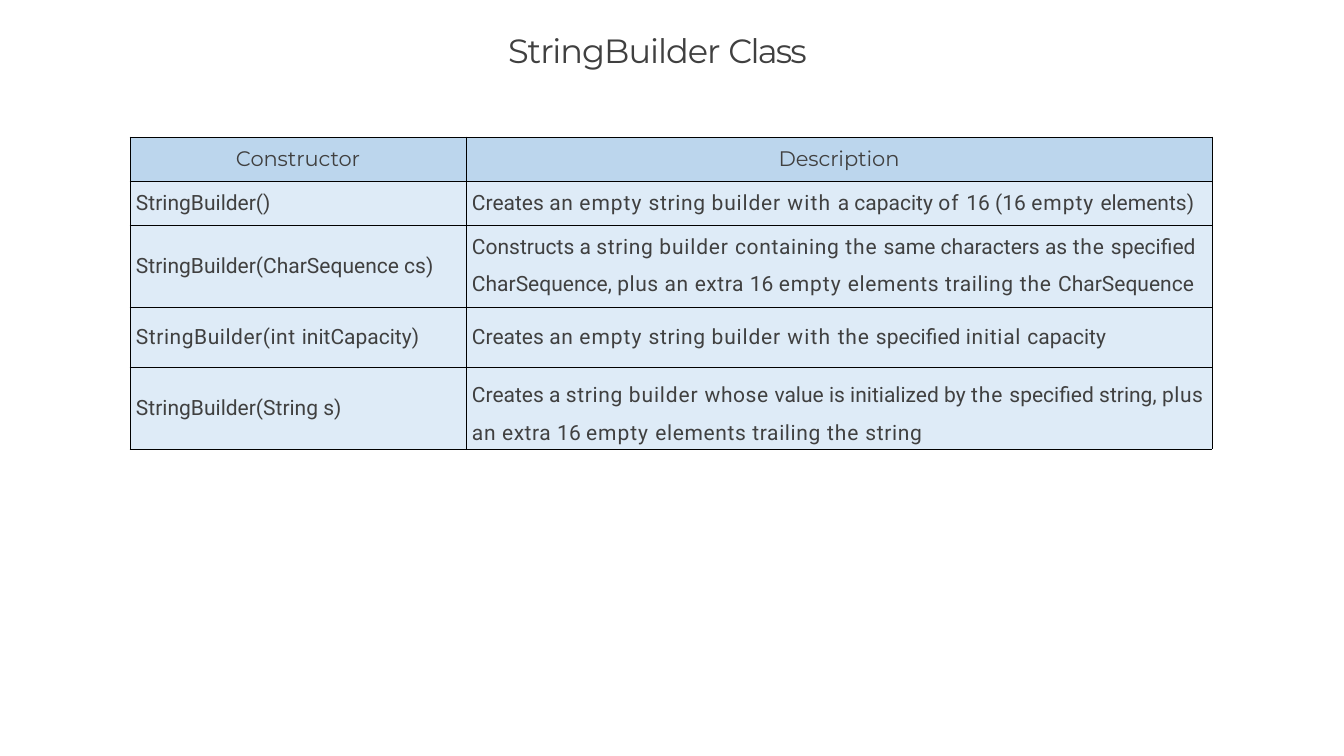
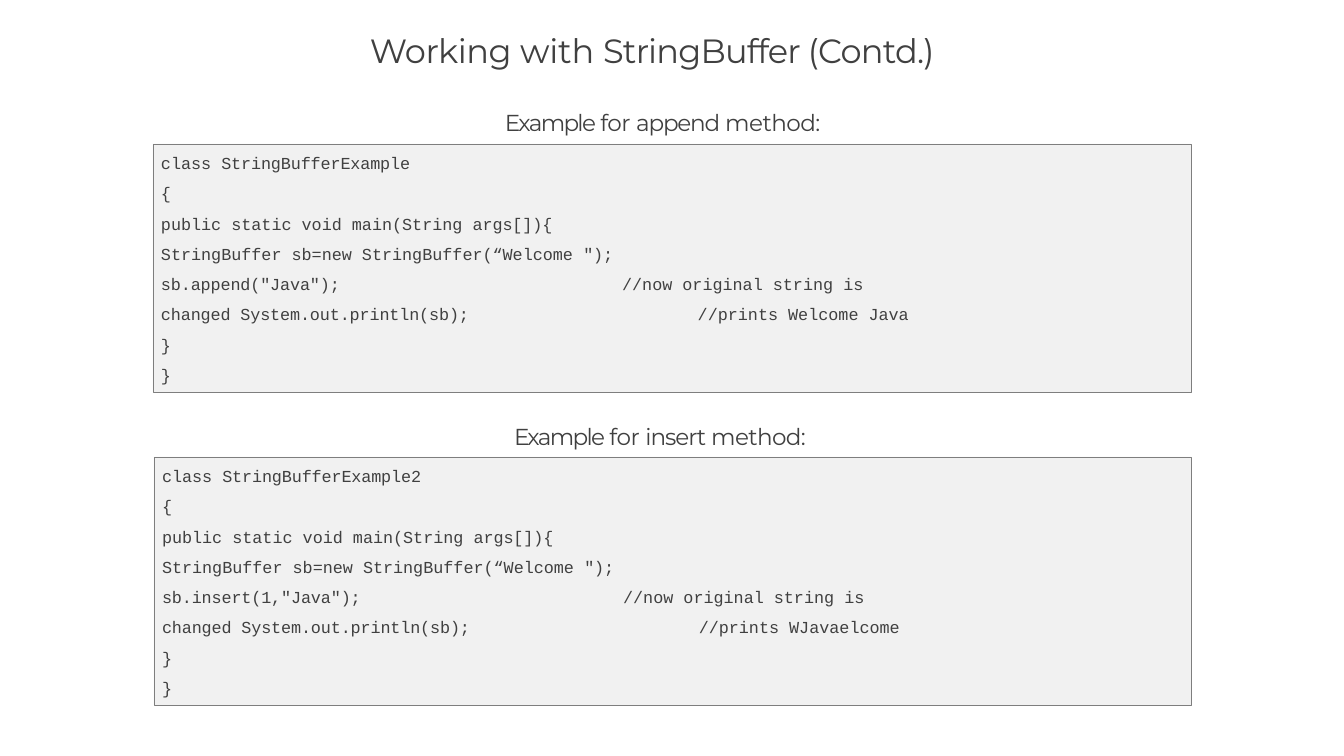
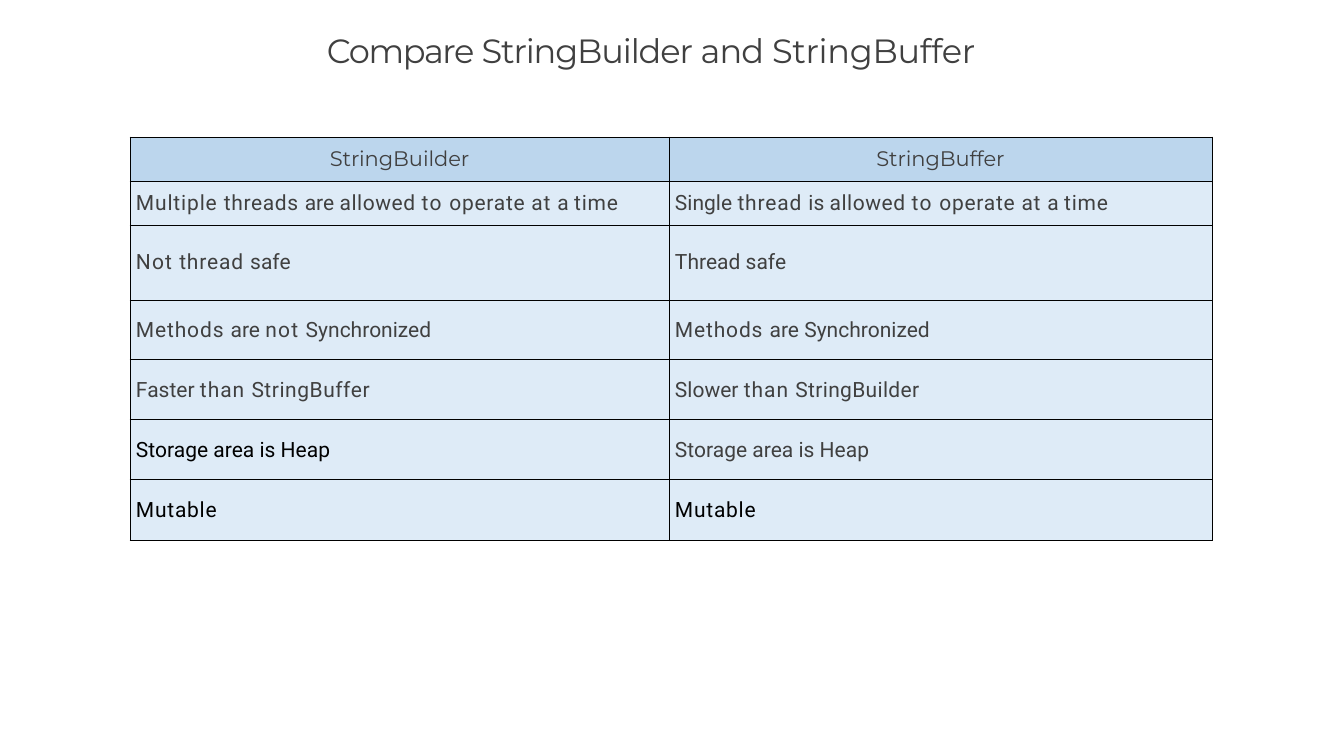
from itertools import groupby

from lxml import etree
from pptx import Presentation
from pptx import util as u
from pptx.dml.color import RGBColor
from pptx.enum import shapes, text
from pptx.oxml import ns

PX = 914400 / 75.6
WIDTH, HEIGHT = 1344, 756
INK = RGBColor(0x40, 0x40, 0x40)
BLACK = RGBColor(0, 0, 0)
HEADER_FILL = RGBColor(0xBC, 0xD6, 0xED)
ROW_FILL = RGBColor(0xDE, 0xEB, 0xF7)
CODE_FILL = RGBColor(0xF1, 0xF1, 0xF1)
CODE_LINE = RGBColor(0x7E, 0x7E, 0x7E)
HEADING, BODY, CODE = "Montserrat", "Roboto", "Courier New"
TABLE_LEFT, TABLE_TOP = 130, 137

WORD_SPACING = {
    "an": 0.6, "empty": 0.9, "string": 0.6, "builder": 0.8, "with": 1.1,
    "of": 1.1, "the": 0.8, "containing": 0.6, "plus": 0.5, "extra": 0.5,
    "elements": 0.6, "trailing": 0.6, "whose": 0.5, "initial": 0.7,
    "Multiple": 0.8, "threads": 0.6, "thread": 0.8, "allowed": 0.5,
    "to": 1.2, "operate": 0.7, "at": 0.7, "time": 0.8, "Not": 1,
    "not": 1.1, "Methods": 0.8, "than": 0.9, "Mutable": 0.7,
    "StringBuilder(int": 0.5, "StringBuffer": 0.5, "StringBuilder": 0.3,
}

BUILDER = {
    "title": [("StringBuilder ", -1), ("Class", -1.8)],
    "title_place": (507, 29, 330, 42),
    "title_indent": 1,
    "columns": (336, 746),
    "heights": (44, 44, 82, 60, 82),
    "rows": [
        ("Constructor", "Description"),
        ("StringBuilder()",
         "Creates an empty string builder with a capacity of 16 (16 empty elements)"),
        ("StringBuilder(CharSequence cs)",
         "Constructs a string builder containing the same characters as the specified\n"
         "CharSequence, plus an extra 16 empty elements trailing the CharSequence"),
        ("StringBuilder(int initCapacity)",
         "Creates an empty string builder with the specified initial capacity"),
        ("StringBuilder(String s)",
         "Creates a string builder whose value is initialized by the specified string, "
         "plus an extra 16 empty elements trailing the string"),
    ],
    "open_cells": {(4, 1)},
    "black_cells": set(),
}

COMPARISON = {
    "title": [("Compare ", -1.4), ("StringBuilder ", -1.1), ("and ", -0.9),
              ("StringBuffer", -0.3)],
    "title_place": (253, 29, 838, 49),
    "title_indent": 74,
    "columns": (539, 543),
    "heights": (44, 44, 75, 60, 60, 60, 61),
    "rows": [
        ("StringBuilder", "StringBuffer"),
        ("Multiple threads are allowed to operate at a time",
         "Single thread is allowed to operate at a time"),
        ("Not thread safe", "Thread safe"),
        ("Methods are not Synchronized", "Methods are Synchronized"),
        ("Faster than StringBuffer", "Slower than StringBuilder"),
        ("Storage area is Heap", "Storage area is Heap"),
        ("Mutable", "Mutable"),
    ],
    "open_cells": set(),
    "black_cells": {(5, 0), (6, 0), (6, 1)},
}

EXAMPLES_TITLE = [("Working ", -0.5), ("with ", -0.2), ("StringBuffer (Contd.)", -0.8)]
EXAMPLES = [
    {"heading": [("Example ", -1.6), ("for ", -0.5), ("append ", -1.1), ("method:", -0.5)],
     "heading_place": (504, 107, 336, 29), "code_place": (153, 144, 1038, 248),
     "class": "StringBufferExample", "call": 'sb.append("Java");', "result": "Welcome Java"},
    {"heading": [("Example ", -1.6), ("for ", -0.4), ("insert ", -1), ("method:", -0.6)],
     "heading_place": (513, 421, 317, 29), "code_place": (154, 457, 1037, 248),
     "class": "StringBufferExample2", "call": 'sb.insert(1,"Java");', "result": "WJavaelcome"},
]


def code_lines(example):
    return [
        [("class ", 0), (example["class"], -0.1)],
        [("{", -0.5)],
        [("public static void main(String ", 0), ("args[]){", -0.1)],
        [("StringBuffer sb=new StringBuffer(“Welcome ", 0), ('");', -0.2)],
        [(example["call"], -0.1), ("\t//now original string is ", 0),
         ("changed System.out.println(sb);", -0.1),
         ("\t\t//prints " + example["result"], 0)],
        [("}", -0.5)],
        [("}", -0.5)],
    ]


def px(*lengths):
    return [u.Emu(round(length * PX)) for length in lengths]


def word_spans(line):
    words = line.split(" ")
    pieces = [word + " " for word in words[:-1]] + words[-1:]
    groups = groupby(pieces, lambda piece: WORD_SPACING.get(piece.strip(), 0))
    return [("".join(group), spacing) for spacing, group in groups]


def write(para, spans, name, size, color=INK, align=text.PP_ALIGN.LEFT):
    para.alignment = align
    para.font.name, para.font.size = name, u.Pt(size)
    para.font.color.rgb = color
    for words, spacing in spans:
        span = para.add_run()
        span.text = words
        span._r.get_or_add_rPr().set("spc", str(round(spacing * 100)))


def set_margins(frame, left, top=0, right=0):
    frame.margin_left, frame.margin_top, frame.margin_right = px(left, top, right)
    frame.margin_bottom = 0


def prepare(frame, left, top=1, right=0):
    set_margins(frame, left, top, right)
    frame.word_wrap = True
    frame.vertical_anchor = text.MSO_ANCHOR.TOP


def add_page(deck, spans, place, indent):
    page = deck.slides.add_slide(deck.slide_layouts[5])
    title = page.shapes.title
    title.left, title.top, title.width, title.height = px(*place)
    prepare(title.text_frame, indent)
    title.text_frame.auto_size = text.MSO_AUTO_SIZE.SHAPE_TO_FIT_TEXT
    write(title.text_frame.paragraphs[0], spans, HEADING, 32)
    return page


def add_borders(cell):
    properties = cell._tc.get_or_add_tcPr()
    for index, side in enumerate(("lnL", "lnR", "lnT", "lnB")):
        line = etree.Element(ns.qn("a:" + side), w=str(u.Pt(1)))
        fill = etree.SubElement(line, ns.qn("a:solidFill"))
        etree.SubElement(fill, ns.qn("a:srgbClr"), val=str(BLACK))
        properties.insert(index, line)


def fill_cell(cell, content, header, color, is_open):
    cell.fill.solid()
    cell.fill.fore_color.rgb = HEADER_FILL if header else ROW_FILL
    cell.vertical_anchor = text.MSO_ANCHOR.MIDDLE
    set_margins(cell, 0 if header else 6)
    add_borders(cell)
    if header:
        write(cell.text_frame.paragraphs[0], [(content, -0.1)], HEADING, 20,
              align=text.PP_ALIGN.CENTER)
        return
    for index, line in enumerate(content.split("\n")):
        para = cell.text_frame.add_paragraph() if index else cell.text_frame.paragraphs[0]
        write(para, word_spans(line), BODY, 20, color)
        if index:
            para.space_before = u.Pt(12)
        if is_open:
            para.line_spacing = u.Pt(36)


def add_table_page(deck, data):
    page = add_page(deck, data["title"], data["title_place"], data["title_indent"])
    columns, heights = data["columns"], data["heights"]
    place = px(TABLE_LEFT, TABLE_TOP, sum(columns), sum(heights))
    table = page.shapes.add_table(len(heights), len(columns), *place).table
    table.first_row = table.horz_banding = False
    for column, width in zip(table.columns, px(*columns)):
        column.width = width
    for row, height in zip(table.rows, px(*heights)):
        row.height = height
    for row, contents in enumerate(data["rows"]):
        for column, content in enumerate(contents):
            spot = (row, column)
            color = BLACK if spot in data["black_cells"] else INK
            fill_cell(table.cell(*spot), content, row == 0, color, spot in data["open_cells"])


def add_tabs(para, *inches):
    tabs = etree.Element(ns.qn("a:tabLst"))
    for position in inches:
        etree.SubElement(tabs, ns.qn("a:tab"), pos=str(u.Inches(position)), algn="l")
    para._p.get_or_add_pPr().find(ns.qn("a:defRPr")).addprevious(tabs)


def add_example(page, example):
    heading = page.shapes.add_textbox(*px(*example["heading_place"])).text_frame
    prepare(heading, 1)
    write(heading.paragraphs[0], example["heading"], HEADING, 22)

    box = page.shapes.add_shape(shapes.MSO_SHAPE.RECTANGLE, *px(*example["code_place"]))
    box.shadow.inherit = False
    box.fill.solid()
    box.fill.fore_color.rgb = CODE_FILL
    box.line.color.rgb = CODE_LINE
    box.line.width = u.Pt(0.72)
    prepare(box.text_frame, 8, 9, 270)
    for index, spans in enumerate(code_lines(example)):
        para = box.text_frame.add_paragraph() if index else box.text_frame.paragraphs[0]
        write(para, spans, CODE, 16)
        if index:
            para.line_spacing = 1.5
        if any("\t" in words for words, spacing in spans):
            add_tabs(para, 6.1, 7.1)


def main():
    deck = Presentation()
    deck.slide_width, deck.slide_height = px(WIDTH, HEIGHT)
    add_table_page(deck, BUILDER)
    page = add_page(deck, EXAMPLES_TITLE, (253, 29, 838, 49), 117)
    for example in EXAMPLES:
        add_example(page, example)
    add_table_page(deck, COMPARISON)
    deck.save("out.pptx")


if __name__ == "__main__":
    main()
